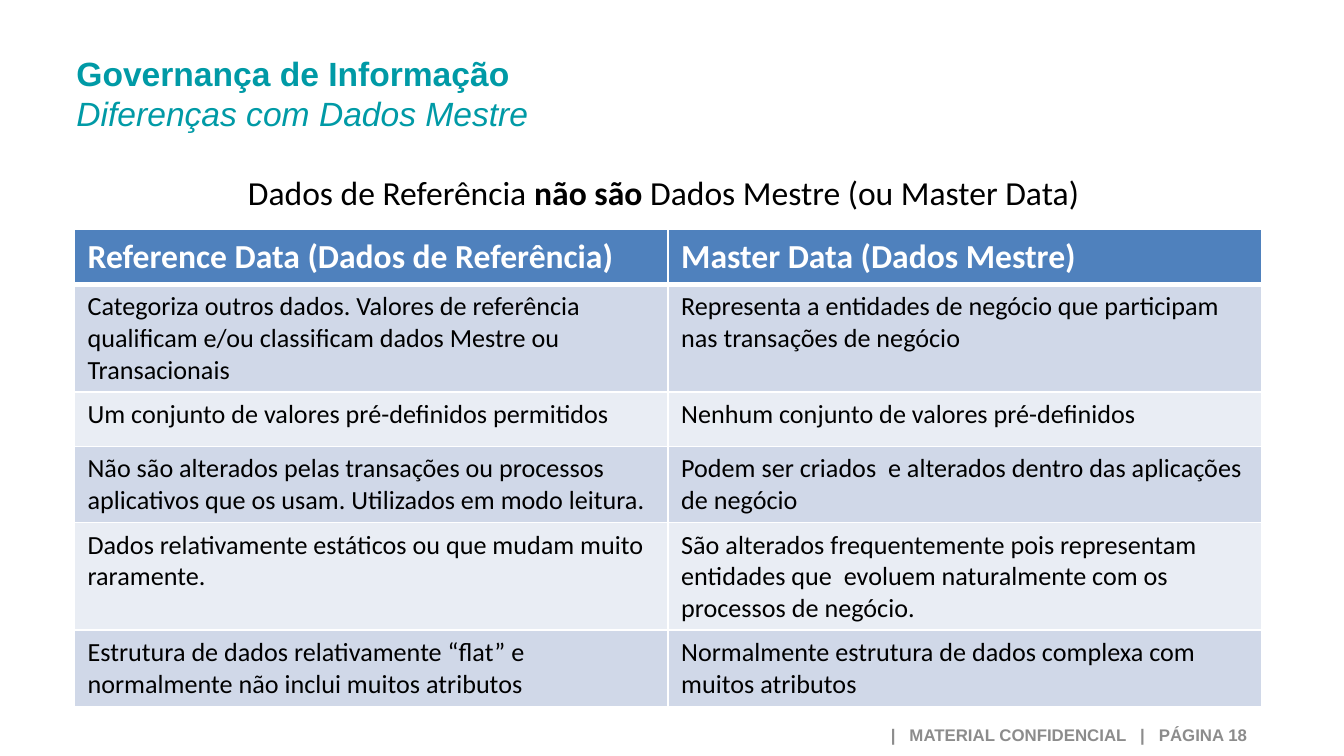
from copy import deepcopy
from dataclasses import dataclass

from lxml.etree import SubElement
from pptx import Presentation
from pptx.dml.color import RGBColor as Color
from pptx.enum.text import MSO_ANCHOR as Anchor, MSO_AUTO_SIZE as AutoSize, PP_ALIGN as Align
from pptx.oxml.ns import qn
from pptx.util import Pt

PX = 9525


@dataclass(frozen=True)
class Theme:
    black: str = "000000"
    white: str = "FFFFFF"
    teal: str = "009AA6"
    gray: str = "8C8C8C"
    header: str = "4F81BD"
    bands: tuple = ("D0D8E8", "E9EDF4")
    heading_font: str = "Arial"
    body_font: str = "Calibri"
    large: int = 18
    medium: int = 14
    small: int = 9


class SlideBuilder:
    def __init__(self, page, theme):
        self.page = page
        self.theme = theme

    def place(self, shape, area):
        shape.left, shape.top, shape.width, shape.height = (n * PX for n in area)

    def span(self, para, text, font, size, color, bold=False, italic=False):
        span = para.add_run()
        span.text = text
        span.font.name = font
        span.font.size = Pt(size)
        span.font.color.rgb = Color.from_string(color)
        span.font.bold = bold
        span.font.italic = italic
        return span

    def title(self, area, heading, subheading):
        box = self.page.shapes.title
        self.place(box, area)
        frame = box.text_frame
        frame.auto_size = AutoSize.NONE
        frame.vertical_anchor = Anchor.TOP
        para = frame.paragraphs[0]
        para.alignment = Align.LEFT
        style = (self.theme.heading_font, self.theme.large, self.theme.teal)
        first = self.span(para, heading, *style, bold=True)
        para.add_line_break()
        para._p.findall(qn("a:br"))[-1].append(deepcopy(first._r.rPr))
        self.span(para, subheading, *style, italic=True)

    def text(self, area, spans, style, align, anchor=Anchor.TOP, spacing=None):
        box = self.page.shapes.add_textbox(*(n * PX for n in area))
        frame = box.text_frame
        frame.word_wrap = True
        frame.vertical_anchor = anchor
        para = frame.paragraphs[0]
        para.alignment = align
        para.line_spacing = spacing
        for text, bold in spans:
            self.span(para, text, *style, bold=bold)
        return box

    def border(self, cell, side, points):
        line = SubElement(cell._tc.get_or_add_tcPr(), qn(f"a:ln{side}"), w=str(Pt(points)))
        SubElement(SubElement(line, qn("a:solidFill")), qn("a:srgbClr"), val=self.theme.white)

    def cell(self, cell, text, row):
        theme = self.theme
        is_header = row == 0
        widths = {"L": 1, "R": 1, "T": 3 if row == 1 else 1, "B": 3 if is_header else 1}
        for side, points in widths.items():
            self.border(cell, side, points)
        cell.fill.solid()
        fill = theme.header if is_header else theme.bands[(row - 1) % 2]
        cell.fill.fore_color.rgb = Color.from_string(fill)
        size = theme.large if is_header else theme.medium
        color = theme.white if is_header else theme.black
        para = cell.text_frame.paragraphs[0]
        self.span(para, text, theme.body_font, size, color, bold=is_header)

    def table(self, area, rows, row_height):
        frame = self.page.shapes.add_table(len(rows), len(rows[0]), *(n * PX for n in area))
        for row, texts in enumerate(rows):
            frame.table.rows[row].height = row_height * PX
            for column, text in enumerate(texts):
                self.cell(frame.table.cell(row, column), text, row)
        frame.height = area[3] * PX


COMPARISON = [
    ("Reference Data (Dados de Referência)", "Master Data (Dados Mestre)"),
    ("Categoriza outros dados. Valores de referência qualificam e/ou classificam "
     "dados Mestre ou Transacionais",
     "Representa a entidades de negócio que participam nas transações de negócio"),
    ("Um conjunto de valores pré-definidos permitidos",
     "Nenhum conjunto de valores pré-definidos"),
    ("Não são alterados pelas transações ou processos aplicativos que os usam. "
     "Utilizados em modo leitura.",
     "Podem ser criados  e alterados dentro das aplicações de negócio"),
    ("Dados relativamente estáticos ou que mudam muito raramente.",
     "São alterados frequentemente pois representam entidades que  evoluem "
     "naturalmente com os processos de negócio."),
    ("Estrutura de dados relativamente “flat” e normalmente não inclui muitos atributos",
     "Normalmente estrutura de dados complexa com muitos atributos"),
]


def main():
    theme = Theme()
    deck = Presentation()
    deck.slide_width, deck.slide_height = 960 * PX, 540 * PX
    builder = SlideBuilder(deck.slides.add_slide(deck.slide_layouts[5]), theme)

    statement = builder.text(
        (45, 118, 858, 38),
        [("Dados de Referência ", False), ("não são ", True),
         ("Dados Mestre (ou Master Data)", False)],
        (theme.body_font, theme.large, theme.black), Align.CENTER)
    statement.text_frame.auto_size = AutoSize.SHAPE_TO_FIT_TEXT
    builder.table((53, 164, 848, 340), COMPARISON, 39)
    builder.text(
        (495, 513, 405, 27), [(" |   MATERIAL CONFIDENCIAL   |   PÁGINA 18", True)],
        (theme.heading_font, theme.small, theme.gray), Align.RIGHT, Anchor.MIDDLE, 0.8)
    builder.title((45, 33, 710, 68), "Governança de Informação", "Diferenças com Dados Mestre")
    deck.save("out.pptx")


if __name__ == "__main__":
    main()
